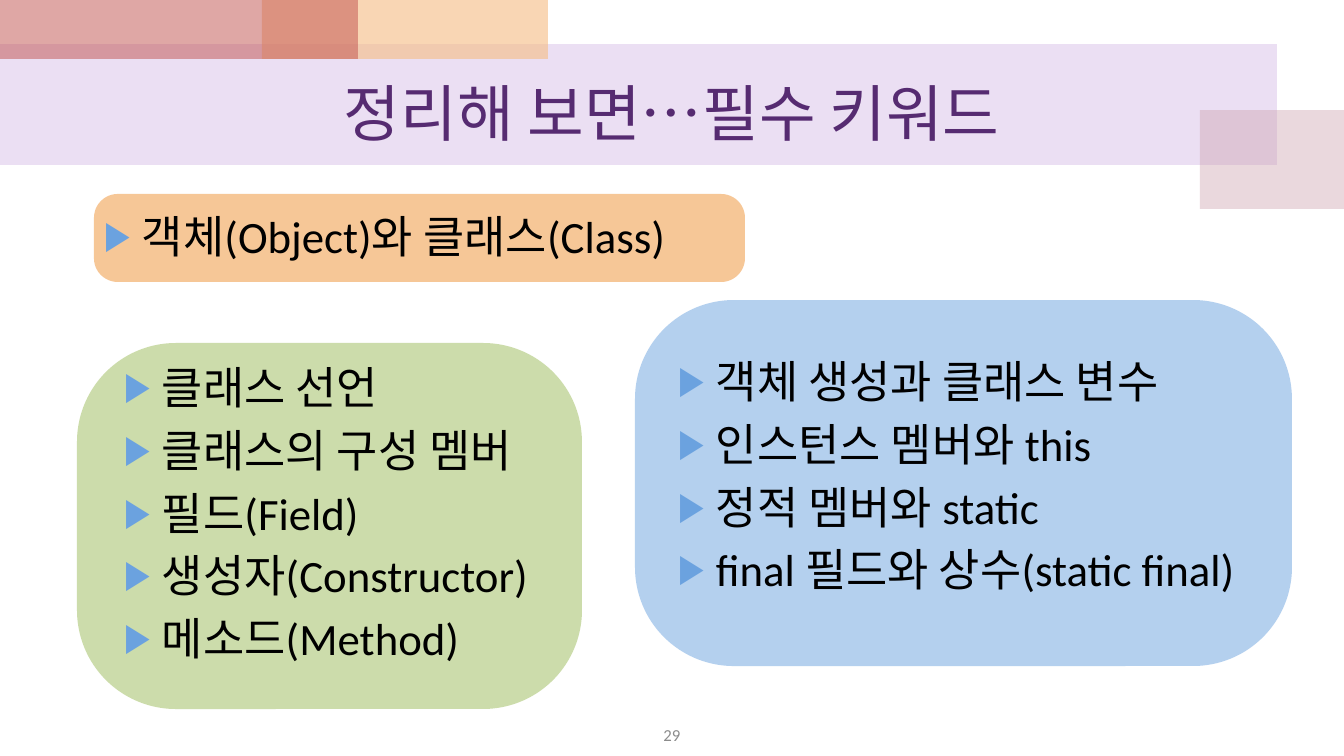
from lxml import etree
from pptx import Presentation
from pptx import util as u
from pptx.dml import color
from pptx.enum import shapes, text
from pptx.oxml import ns

PX = 914400 / 100.8
FONT = "Calibri"
BLUE = "6BA2DF"
CENTER = text.PP_ALIGN.CENTER
MIDDLE = text.MSO_ANCHOR.MIDDLE
RECT = shapes.MSO_SHAPE.RECTANGLE
ROUNDED = shapes.MSO_SHAPE.ROUNDED_RECTANGLE

BANDS = [
    ((0, 44, 1277, 121), "BF98D8", 30),
    ((1200, 110, 144, 99), "CC9EAC", 40),
    ((262, 0, 286, 59), "F5BC83", 60),
    ((0, 0, 358, 59), "C0504D", 50),
]
PANELS = [
    ((94, 194, 651, 88), "EF9031", (0, 10, 761, 91),
     ["객체(Object)와 클래스(Class)"]),
    ((77, 343, 505, 366), "9BBB59", (37, 12, 489, 330),
     ["클래스 선언", "클래스의 구성 멤버", "필드(Field)",
      "생성자(Constructor)", "메소드(Method)"]),
    ((635, 300, 657, 366), BLUE, (33, 49, 593, 323),
     ["객체 생성과 클래스 변수", "인스턴스 멤버와 this",
      "정적 멤버와 static", "final 필드와 상수(static final)"]),
]


def px(*lengths):
    """Turn pixel lengths into EMU."""
    return [round(length * PX) for length in lengths]


def rgb(value):
    """Make a colour from a hex string."""
    return color.RGBColor.from_string(value)


def add(parent, tag, **attributes):
    """Append a DrawingML element to its parent."""
    return etree.SubElement(parent, ns.qn(tag), attributes)


def style(paragraph, size, ink):
    """Format every run of a paragraph."""
    for run in paragraph.runs:
        run.font.size = u.Pt(size)
        run.font.name = FONT
        run.font.color.rgb = rgb(ink)


def draw_block(slide, preset, box, fill, opacity):
    """Draw a borderless translucent block."""
    block = slide.shapes.add_shape(preset, *px(*box))
    block.shadow.inherit = False
    block.line.fill.background()
    block.fill.solid()
    block.fill.fore_color.rgb = rgb(fill)
    tint = block.fill._xPr.find(".//" + ns.qn("a:srgbClr"))
    add(tint, "a:alpha", val=str(opacity * 1000))
    return block


def draw_title(slide, box, wording):
    """Place the title placeholder in front of the bands."""
    title = slide.shapes.title
    title.left, title.top, title.width, title.height = px(*box)
    frame = title.text_frame
    frame.text = wording
    frame.auto_size = text.MSO_AUTO_SIZE.NONE
    frame.vertical_anchor = MIDDLE
    frame.paragraphs[0].alignment = CENTER
    style(frame.paragraphs[0], 44, "562B71")
    slide.shapes._spTree.append(title._element)


def add_bullet(paragraph):
    """Give a paragraph its hanging blue arrow bullet."""
    hang, = px(38)
    properties = paragraph._p.get_or_add_pPr()
    properties.set("marL", str(hang))
    properties.set("indent", str(-hang))
    add(add(properties, "a:spcBef"), "a:spcPct", val="20000")
    add(add(properties, "a:buClr"), "a:srgbClr", val=BLUE)
    add(properties, "a:buSzPct", val="90000")
    add(properties, "a:buFont", typeface=FONT)
    add(properties, "a:buChar", char="▶")


def draw_keywords(slide, box, inner, keywords):
    """Write bulleted keywords at an offset inside a panel box."""
    left, top = box[0] + inner[0], box[1] + inner[1]
    frame = slide.shapes.add_textbox(*px(left, top, *inner[2:])).text_frame
    frame.word_wrap = True
    frame.text = "\n".join(keywords)
    for paragraph in frame.paragraphs:
        add_bullet(paragraph)
        style(paragraph, 32, "000000")


def draw_page_number(slide, box, number):
    """Write the centred page number."""
    frame = slide.shapes.add_textbox(*px(*box)).text_frame
    frame.word_wrap = True
    frame.text = number
    frame.vertical_anchor = MIDDLE
    frame.paragraphs[0].alignment = CENTER
    style(frame.paragraphs[0], 12, "8C8C8C")


def main():
    """Build the keyword summary slide."""
    deck = Presentation()
    deck.slide_width, deck.slide_height = px(1344, 756)
    slide = deck.slides.add_slide(deck.slide_layouts[5])
    for box, fill, opacity in BANDS:
        draw_block(slide, RECT, box, fill, opacity)
    draw_title(slide, (67, 59, 1210, 106), "정리해 보면…필수 키워드")
    for box, fill, inner, keywords in PANELS:
        panel = draw_block(slide, ROUNDED, box, fill, 50)
        panel.adjustments[0] = 0.27
        draw_keywords(slide, box, inner, keywords)
    draw_page_number(slide, (515, 721, 314, 27), "29")
    deck.save("out.pptx")


if __name__ == "__main__":
    main()
